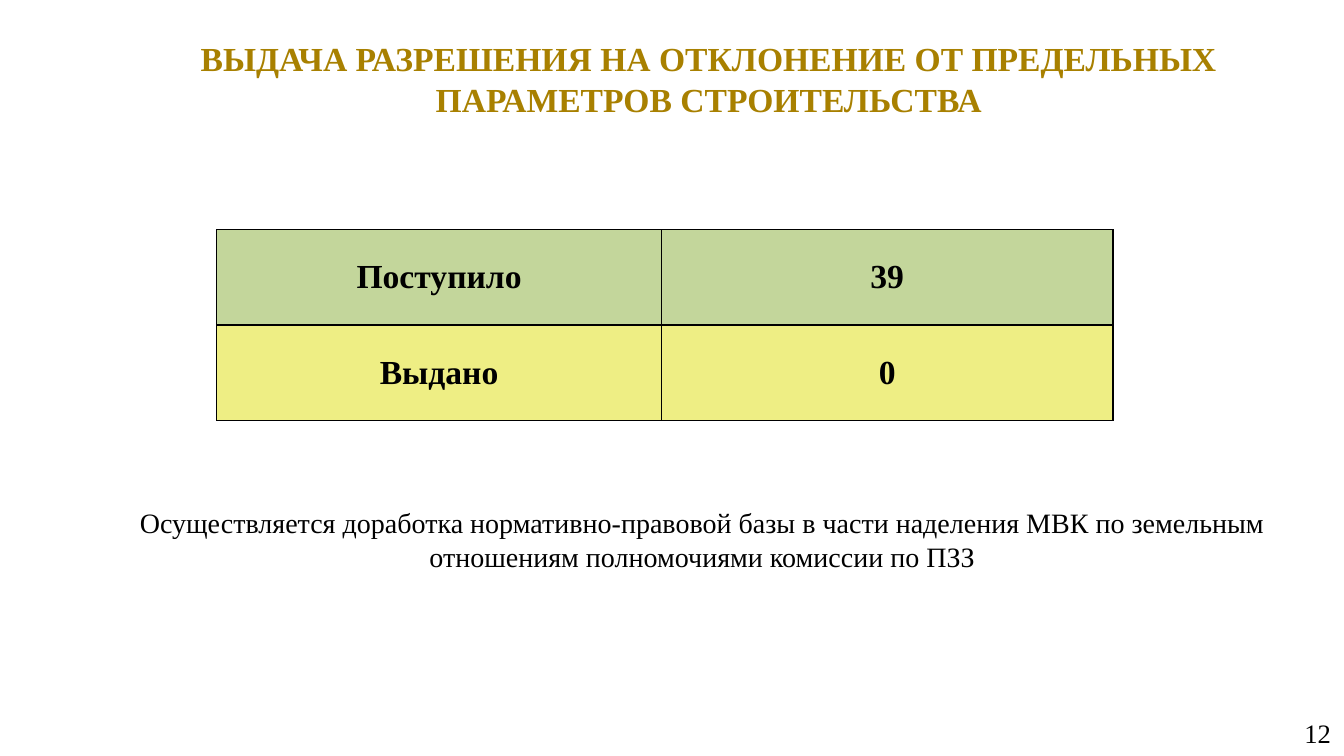
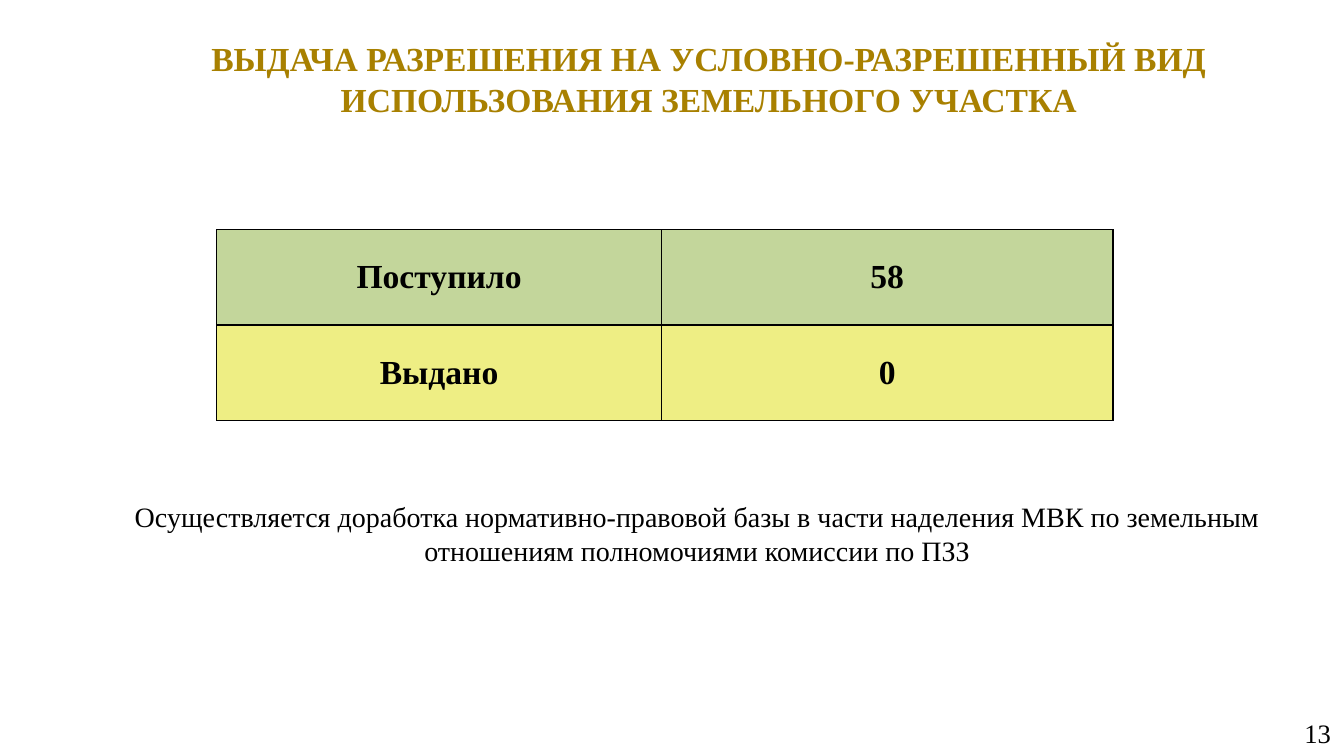
from lxml import etree
from pptx import Presentation
from pptx import util as u
from pptx.dml.color import RGBColor
from pptx.enum import text
from pptx.oxml.ns import qn

COLORS = {"title": "A88000", "ink": "000000", "received": "C3D69B", "issued": "EEEE84"}
FONT = "Times New Roman"
NOTE = ("Осуществляется доработка нормативно-правовой базы в части наделения МВК "
        "по земельным отношениям полномочиями комиссии по ПЗЗ")

# Title, page number, received, issued, left and top of the note
PAGES = [
    ("ВЫДАЧА РАЗРЕШЕНИЯ НА ОТКЛОНЕНИЕ ОТ ПРЕДЕЛЬНЫХ ПАРАМЕТРОВ СТРОИТЕЛЬСТВА",
     12, 39, 0, 1.01, 4.97),
    ("ВЫДАЧА РАЗРЕШЕНИЯ НА УСЛОВНО-РАЗРЕШЕННЫЙ ВИД ИСПОЛЬЗОВАНИЯ ЗЕМЕЛЬНОГО УЧАСТКА",
     13, 58, 0, 0.96, 4.91),
]

prs = Presentation()
prs.slide_width, prs.slide_height = u.Inches(13.33), u.Inches(7.5)
blank = prs.slide_layouts[6]


def write(frame, words, size, color="ink", bold=False, align=text.PP_ALIGN.CENTER):
    paragraph = frame.paragraphs[0]
    paragraph.text = words
    paragraph.alignment = align
    font = paragraph.font
    font.name, font.size, font.bold = FONT, u.Pt(size), bold
    font.color.rgb = RGBColor.from_string(COLORS[color])


def add_text(slide, box, words, size, **style):
    frame = slide.shapes.add_textbox(*map(u.Inches, box)).text_frame
    frame.word_wrap = True
    frame.vertical_anchor = text.MSO_ANCHOR.MIDDLE
    frame.margin_left = frame.margin_right = u.Inches(0.13)
    frame.margin_top = frame.margin_bottom = u.Inches(0.07)
    write(frame, words, size, **style)


for title, number, received, issued, note_left, note_top in PAGES:
    slide = prs.slides.add_slide(blank)

    # Title and page number
    add_text(slide, (1.31, 0.28, 11.44, 1), title, 24, color="title", bold=True)
    add_text(slide, (10.22, 7.07, 3.11, 0.4), str(number), 19, align=text.PP_ALIGN.RIGHT)

    # Table of applications
    rows = [("Поступило", received, "received"), ("Выдано", issued, "issued")]
    table = slide.shapes.add_table(
        len(rows), 2, *map(u.Inches, (2.15, 2.28, 8.89, 1.89))).table
    for column, width in zip(table.columns, (4.41, 4.48)):
        column.width = u.Inches(width)
    for r, (label, count, fill) in enumerate(rows):
        for c, words in enumerate((label, str(count))):
            cell = table.cell(r, c)
            cell.vertical_anchor = text.MSO_ANCHOR.MIDDLE
            cell.margin_left = cell.margin_right = u.Inches(0.13)
            cell.margin_top = cell.margin_bottom = u.Inches(0.05)
            write(cell.text_frame, words, 24, bold=True)

            # Borders come before the fill in the cell properties
            properties = cell._tc.get_or_add_tcPr()
            for side in ("a:lnL", "a:lnR", "a:lnT", "a:lnB"):
                border = etree.SubElement(properties, qn(side), w=str(u.Pt(0.96)))
                line_fill = etree.SubElement(border, qn("a:solidFill"))
                etree.SubElement(line_fill, qn("a:srgbClr"), val=COLORS["ink"])
            cell.fill.solid()
            cell.fill.fore_color.rgb = RGBColor.from_string(COLORS[fill])

    # Note under the table
    add_text(slide, (note_left, note_top, 11.91, 0.76), NOTE, 20)

prs.save("out.pptx")
